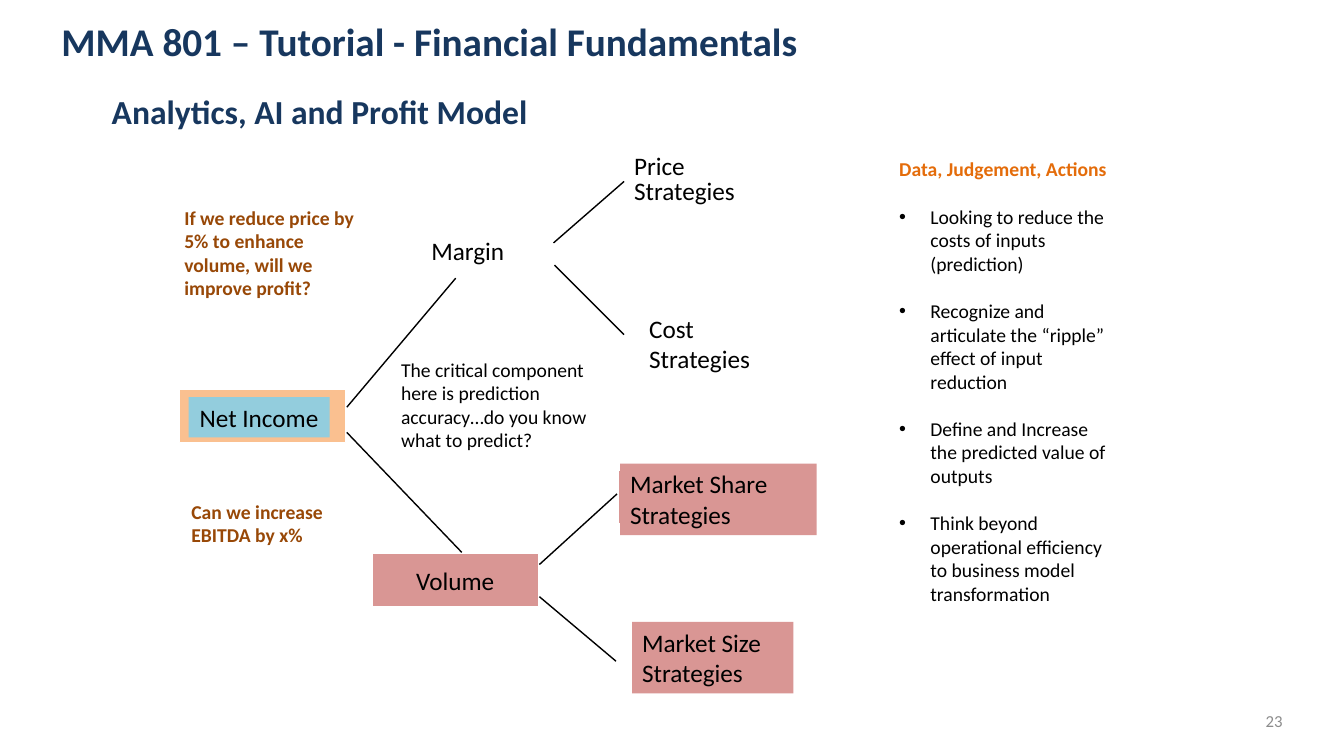
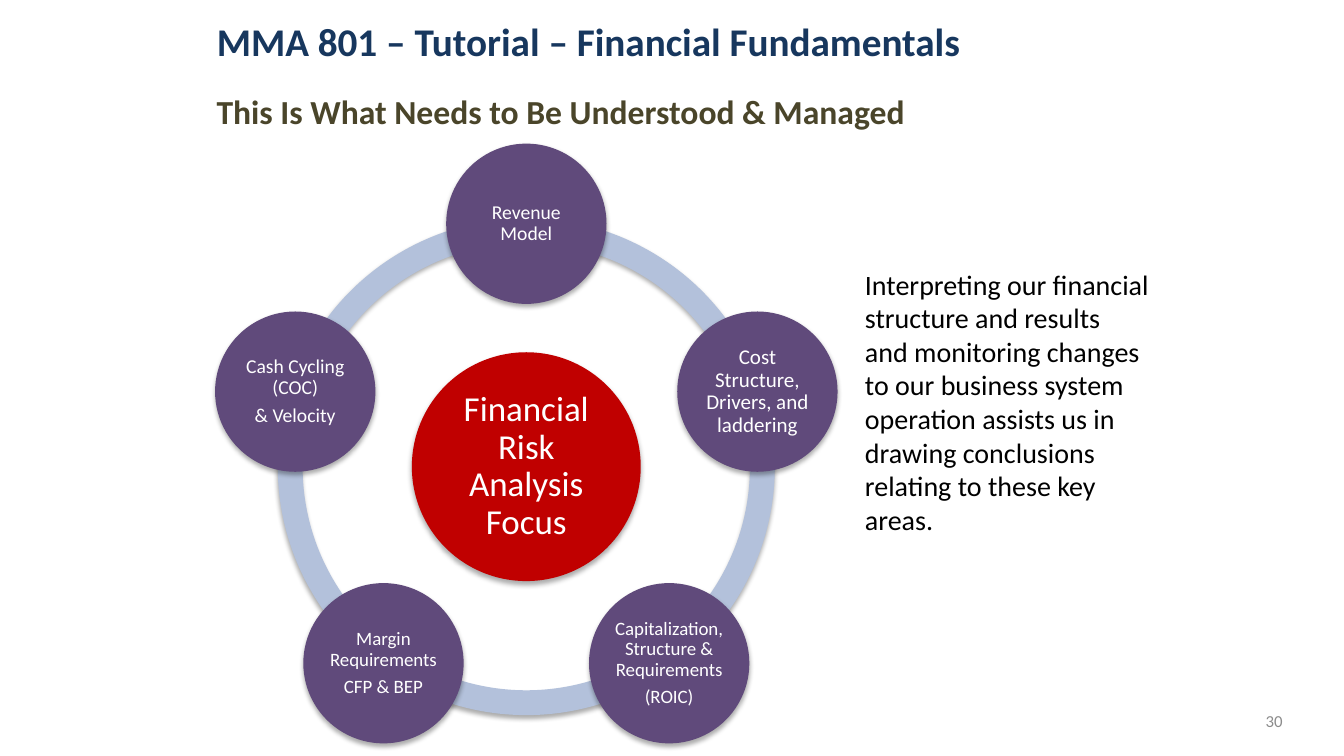
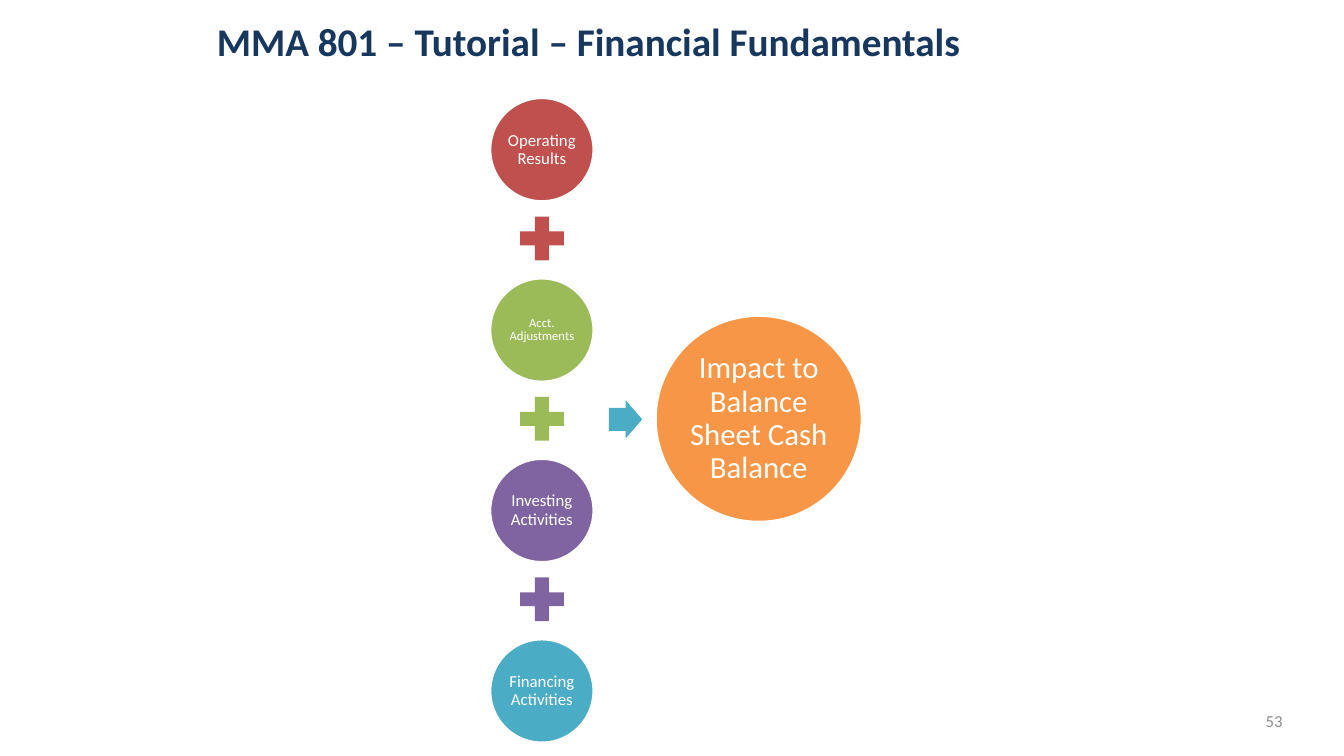
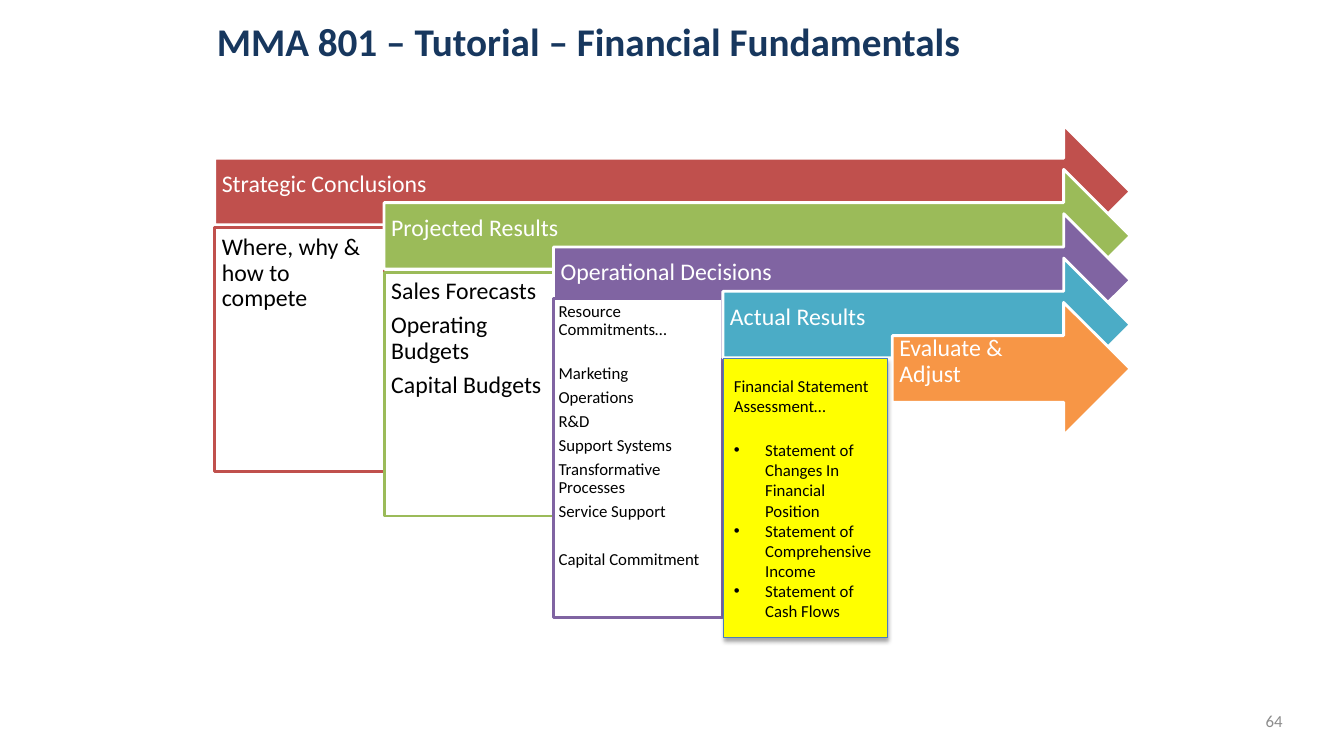
from math import cos, pi, sin

from lxml import etree
from pptx import Presentation
from pptx.dml.color import RGBColor
from pptx.enum import shapes, text
from pptx.oxml import ns
from pptx.util import Inches, Pt

FONT = "Calibri"
BLACK = RGBColor(0x00, 0x00, 0x00)
WHITE = RGBColor(0xFF, 0xFF, 0xFF)
NAVY = RGBColor(0x17, 0x37, 0x5E)
OLIVE = RGBColor(0x4A, 0x45, 0x2A)
GREY = RGBColor(0x8C, 0x8C, 0x8C)
BROWN = RGBColor(0x98, 0x48, 0x07)
DARK_ORANGE = RGBColor(0xE4, 0x6C, 0x0A)
PEACH = RGBColor(0xFA, 0xC0, 0x90)
PINK = RGBColor(0xD9, 0x96, 0x94)
SKY = RGBColor(0x93, 0xCD, 0xDD)
PALE_BLUE = RGBColor(0xB3, 0xC1, 0xDB)
PLUM = RGBColor(0x60, 0x4A, 0x7B)
DARK_RED = RGBColor(0xC0, 0x00, 0x00)
RED = RGBColor(0xC0, 0x50, 0x4D)
GREEN = RGBColor(0x9B, 0xBB, 0x59)
PURPLE = RGBColor(0x80, 0x64, 0xA2)
TEAL = RGBColor(0x4B, 0xAC, 0xC6)
ORANGE = RGBColor(0xF7, 0x96, 0x46)
YELLOW = RGBColor(0xFF, 0xFF, 0x00)
STEEL = RGBColor(0x4B, 0x7E, 0xBC)

KIND = shapes.MSO_SHAPE
LEFT, CENTER, RIGHT = text.PP_ALIGN.LEFT, text.PP_ALIGN.CENTER, text.PP_ALIGN.RIGHT
TOP, MIDDLE = text.MSO_ANCHOR.TOP, text.MSO_ANCHOR.MIDDLE


def add_block(slide, kind, left, top, width, height, fill=None, line=None,
              line_width=1, shadow=None):
    """Add a preset shape, or a text box when kind is None; shadow is (opacity %, blur pt, distance pt)."""
    place = [Inches(v) for v in (left, top, width, height)]
    if kind is None:
        return slide.shapes.add_textbox(*place)
    block = slide.shapes.add_shape(kind, *place)
    block.shadow.inherit = False
    block.fill.solid()
    block.fill.fore_color.rgb = fill
    if line is None:
        block.line.fill.background()
    else:
        block.line.color.rgb = line
        block.line.width = Pt(line_width)
    if shadow:
        opacity, blur, distance = shadow
        effects = block._element.spPr.find(ns.qn("a:effectLst"))
        outer = etree.SubElement(effects, ns.qn("a:outerShdw"), blurRad=str(Pt(blur)),
                                 dist=str(Pt(distance)), dir="5400000", rotWithShape="0")
        black = etree.SubElement(outer, ns.qn("a:srgbClr"), val="000000")
        etree.SubElement(black, ns.qn("a:alpha"), val=str(opacity * 1000))
    return block


def put_text(shape, lines, size, color=BLACK, bold=False, align=LEFT, anchor=TOP,
             insets=(0.1, 0.05, 0.1, 0.05), spacing=None, after=0, gaps=None, bullets=()):
    """Fill a shape with paragraphs; gaps maps a paragraph's index to its space before."""
    frame = shape.text_frame
    frame.word_wrap = True
    frame.auto_size = text.MSO_AUTO_SIZE.NONE
    frame.vertical_anchor = anchor
    (frame.margin_left, frame.margin_top,
     frame.margin_right, frame.margin_bottom) = [Inches(v) for v in insets]
    frame.text = "\n".join(lines)
    for index, paragraph in enumerate(frame.paragraphs):
        paragraph.alignment = align
        paragraph.line_spacing = spacing
        paragraph.space_before = Pt((gaps or {}).get(index, 0))
        paragraph.space_after = Pt(after)
        if index in bullets:
            props = paragraph._p.get_or_add_pPr()
            props.set("marL", str(Inches(0.31)))
            props.set("indent", str(-Inches(0.31)))
            etree.SubElement(props, ns.qn("a:buFont"), typeface="Arial")
            etree.SubElement(props, ns.qn("a:buChar"), char="•")
        paragraph.font.name = FONT
        paragraph.font.size = Pt(size)
        paragraph.font.bold = bold
        paragraph.font.color.rgb = color


prs = Presentation()
prs.slide_width, prs.slide_height = Inches(13.33), Inches(7.5)

# Shared title, subtitle and page number
pages = [
    (23, "MMA 801 – Tutorial - Financial Fundamentals", 0.51,
     ("Analytics, AI and Profit Model", 1.01, NAVY)),
    (30, "MMA 801 – Tutorial – Financial Fundamentals", 2.05,
     ("This Is What Needs to Be Understood & Managed", 2.05, OLIVE)),
    (53, "MMA 801 – Tutorial – Financial Fundamentals", 2.05, None),
    (64, "MMA 801 – Tutorial – Financial Fundamentals", 2.05, None),
]
for number, heading, heading_left, subtitle in pages:
    slide = prs.slides.add_slide(prs.slide_layouts[5])
    title = slide.shapes.title
    title.left, title.top = Inches(heading_left), Inches(0.05)
    title.width, title.height = Inches(10), Inches(0.71)
    put_text(title, [heading], 28, NAVY, bold=True, anchor=MIDDLE)
    if subtitle:
        words, left, color = subtitle
        put_text(add_block(slide, None, left, 0.81, 9.07, 0.58), [words], 24, color,
                 bold=True, anchor=MIDDLE)
    put_text(add_block(slide, None, 9.82, 6.95, 3, 0.4), [str(number)], 12, GREY,
             align=RIGHT, anchor=MIDDLE)
profit_model, risk_focus, cash_impact, planning = prs.slides

# Profit model tree
add_block(profit_model, KIND.RECTANGLE, 1.78, 3.86, 1.65, 0.53, PEACH, WHITE)
add_block(profit_model, KIND.RECTANGLE, 6.13, 4.67, 1.65, 0.53, PINK, WHITE)
net_income = add_block(profit_model, KIND.RECTANGLE, 1.87, 3.94, 1.4, 0.4, SKY)
put_text(net_income, ["Net Income"], 18, align=CENTER, insets=(0, 0.05, 0, 0.05))
volume = add_block(profit_model, KIND.RECTANGLE, 3.69, 5.49, 1.65, 0.53, PINK, WHITE)
put_text(volume, ["Volume"], 18, align=CENTER, anchor=MIDDLE)

strategies = [
    (None, 4.18, 2.29, 1.2, 0.4, ["Margin"], None),
    (None, 6.19, 1.49, 1.61, 0.61, ["Price Strategies"], Pt(18)),
    (None, 6.34, 3.06, 1.61, 0.71, ["Cost Strategies"], None),
    (KIND.RECTANGLE, 6.15, 4.6, 1.95, 0.71, ["Market Share", "Strategies"], None),
    (KIND.RECTANGLE, 6.27, 6.17, 1.6, 0.71, ["Market Size", "Strategies"], None),
]
for kind, left, top, width, height, lines, spacing in strategies:
    put_text(add_block(profit_model, kind, left, top, width, height, PINK), lines, 18,
             spacing=spacing)

branches = [
    (3.44, 4.04, 4.52, 2.76), (3.44, 4.29, 4.58, 5.48),
    (5.49, 2.41, 6.19, 1.8), (5.5, 2.63, 6.19, 3.32),
    (5.35, 5.6, 6.12, 4.9), (5.35, 5.92, 6.11, 6.56),
]
for ends in branches:
    branch = profit_model.shapes.add_connector(
        shapes.MSO_CONNECTOR.STRAIGHT, *[Inches(v) for v in ends])
    branch.line.color.rgb = BLACK
    branch.line.width = Pt(1)
    etree.SubElement(branch._element.spPr, ns.qn("a:effectLst"))

questions = [
    (1.73, 1.99, 2.04, 1.04, BROWN,
     "If we reduce price by 5% to enhance volume, will we improve profit?"),
    (1.8, 4.91, 2.04, 0.57, BROWN, "Can we increase EBITDA by x%"),
    (3.88, 3.5, 2.17, 1.04, BLACK,
     "The critical component here is prediction accuracy…do you know what to predict?"),
]
for left, top, width, height, color, question in questions:
    put_text(add_block(profit_model, None, left, top, width, height), [question], 14, color,
             bold=color == BROWN)

actions = add_block(profit_model, None, 8.82, 1.51, 2.27, 5.28)
put_text(actions, [
    "Data, Judgement, Actions",
    "Looking to reduce the costs of inputs (prediction)",
    "Recognize and articulate the “ripple” effect of input reduction",
    "Define and Increase the predicted value of outputs",
    "Think beyond operational efficiency to business model transformation",
], 14, gaps={i: 17 for i in range(1, 5)}, bullets=range(1, 5))
actions_heading = actions.text_frame.paragraphs[0].font
actions_heading.bold = True
actions_heading.color.rgb = DARK_ORANGE

# Ring of risk areas around the focus
SOFT_SHADOW = (32, 3.5, 2.2)
CENTER_X, CENTER_Y, ORBIT = 5.22, 4.63, 2.41
RING, FOCUS, AREA = 4.93, 2.27, 1.59
ring = add_block(risk_focus, KIND.DONUT, CENTER_X - RING / 2, CENTER_Y - RING / 2, RING, RING,
                 PALE_BLUE, shadow=SOFT_SHADOW)
ring.adjustments[0] = 0.05
focus = add_block(risk_focus, KIND.OVAL, CENTER_X - FOCUS / 2, CENTER_Y - FOCUS / 2, FOCUS, FOCUS,
                  DARK_RED, shadow=SOFT_SHADOW)
put_text(focus, ["Financial Risk Analysis Focus"], 25, WHITE, align=CENTER, anchor=MIDDLE,
         insets=[0.03] * 4, spacing=0.9)

areas = [
    (["Revenue Model"], 14),
    (["Cost Structure, Drivers, and laddering"], 15),
    (["Capitalization, Structure & Requirements", "(ROIC)"], 13.5),
    (["Margin Requirements", "CFP & BEP"], 13.5),
    (["Cash Cycling (COC)", "& Velocity"], 14),
]
for index, (lines, size) in enumerate(areas):
    angle = 2 * pi * index / len(areas)
    area = add_block(risk_focus, KIND.OVAL, CENTER_X + ORBIT * sin(angle) - AREA / 2,
                     CENTER_Y - ORBIT * cos(angle) - AREA / 2, AREA, AREA,
                     PLUM, shadow=SOFT_SHADOW)
    put_text(area, lines, size, WHITE, align=CENTER, anchor=MIDDLE, insets=[0.02] * 4,
             spacing=0.9, after=0.35 * size)

put_text(add_block(risk_focus, None, 8.48, 2.6, 3.02, 2.79), [
    "Interpreting our financial structure and results and monitoring changes to our business "
    "system operation assists us in drawing conclusions relating to these key areas."], 20)

# Sum of cash flows
flows = [
    ("Operating Results", 12, RED),
    ("Acct. Adjustments", 9, GREEN),
    ("Investing Activities", 12, PURPLE),
    ("Financing Activities", 12, TEAL),
]
for index, (flow, size, color) in enumerate(flows):
    top = 0.97 + 1.79 * index
    circle = add_block(cash_impact, KIND.OVAL, 4.86, top, 1.03, 1.03, color, WHITE, 2)
    put_text(circle, [flow], size, WHITE, align=CENTER, anchor=MIDDLE, insets=[0.02] * 4,
             spacing=0.9)
    if index < len(flows) - 1:
        add_block(cash_impact, KIND.MATH_PLUS, 5.08, top + 1.1, 0.59, 0.59, color)
result_arrow = add_block(cash_impact, KIND.RIGHT_ARROW, 6.04, 3.97, 0.33, 0.38, TEAL)
result_arrow.adjustments[0] = 0.6
impact = add_block(cash_impact, KIND.OVAL, 6.5, 3.13, 2.05, 2.05, ORANGE, WHITE, 2)
put_text(impact, ["Impact to Balance Sheet Cash Balance"], 22, WHITE, align=CENTER,
         anchor=MIDDLE, insets=[0.03] * 4, spacing=0.9)

# Cascade of planning stages: heading, colour, then top, height, text size, inset, gaps, lines
stages = [
    ("Strategic Conclusions", RED,
     (2.26, 2.42, 17, 0.07, {}, ["Where, why & how to compete"])),
    ("Projected Results", GREEN,
     (2.7, 2.42, 17, 0.07, {}, ["Sales Forecasts", "Operating Budgets", "Capital Budgets"])),
    ("Operational Decisions", PURPLE,
     (2.96, 3.17, 12, 0.05, {1: 14, 7: 17},
      ["Resource Commitments…", "Marketing", "Operations", "R&D", "Support Systems",
       "Transformative Processes", "Service Support", "Capital Commitment"])),
    ("Actual Results", TEAL, None),
    ("Evaluate & Adjust", ORANGE, None),
]
ARROW_TIP = 11.21
for index, (stage, color, details) in enumerate(stages):
    left = 2.13 + 1.68 * index
    arrow = add_block(planning, KIND.RIGHT_ARROW, left, 1.24 + 0.44 * index, ARROW_TIP - left,
                      1.32, color, WHITE, 2)
    put_text(arrow, [stage], 17, WHITE, anchor=MIDDLE, insets=(0.07, 0.07, 0.28, 0.21),
             spacing=0.9)
    if details:
        top, height, size, inset, gaps, lines = details
        panel = add_block(planning, KIND.RECTANGLE, left, top, 1.68, height, WHITE, color, 2)
        put_text(panel, lines, size, insets=[inset] * 4, spacing=0.9, after=0.35 * size,
                 gaps=gaps)

statements = add_block(planning, KIND.RECTANGLE, 7.18, 3.56, 1.62, 2.77, YELLOW, STEEL, 0.75,
                       shadow=(35, 3.1, 1.8))
put_text(statements, [
    "Financial Statement Assessment…",
    "Statement of Changes In Financial Position",
    "Statement of Comprehensive Income",
    "Statement of Cash Flows",
], 12, anchor=MIDDLE, gaps={1: 17}, bullets=range(1, 4))

prs.save("out.pptx")
